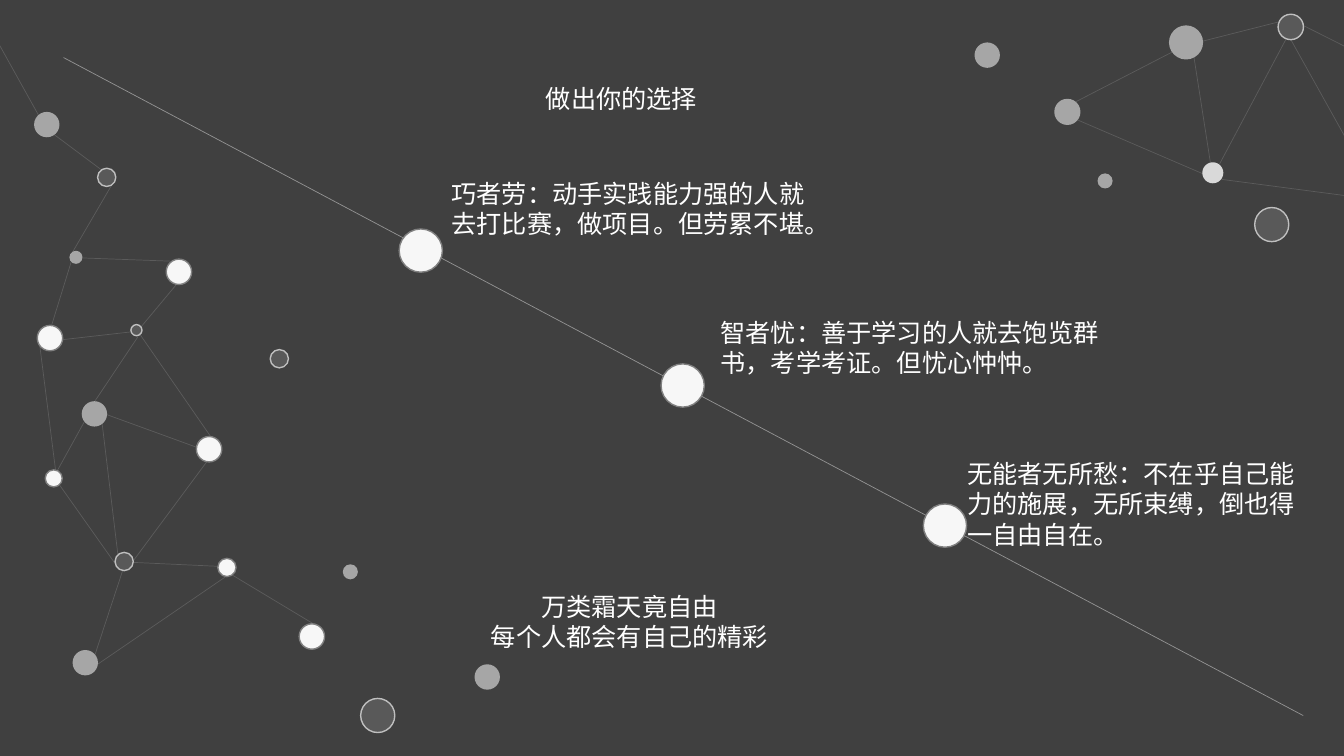
import pptx
import pptx.util
import pptx.dml.color
import pptx.enum.shapes
import pptx.enum.text
import pptx.oxml
import pptx.oxml.ns
from lxml import etree

COLORS = {"background": "404040", "text": "FFFFFF", "path": "FFFFFF", "link": "BFBFBF"}
FONT_NAME = "Arial"
MILESTONE_SIZE = 1.09

DOT_STYLES = {
    "ring": ("595959", "BFBFBF"),
    "grey": ("A6A6A6", None),
    "pale": ("D9D9D9", None),
    "white": ("F7F7F7", "808080"),
}

DOTS = {
    "ring": [
        (2.46, 4.24, 0.46), (2.9, 13.92, 0.46), (6.81, 8.81, 0.46), (3.3, 8.18, 0.28),
        (9.09, 17.6, 0.86), (32.21, 0.36, 0.64), (31.62, 5.23, 0.86),
    ],
    "grey": [
        (0.86, 2.82, 0.64), (2.06, 10.11, 0.64), (1.75, 6.32, 0.33), (1.83, 16.38, 0.64),
        (11.96, 16.74, 0.64), (8.64, 14.22, 0.38), (26.57, 2.49, 0.66),
        (29.46, 0.64, 0.86), (24.56, 1.07, 0.64), (27.66, 4.37, 0.38),
    ],
    "pale": [(30.3, 4.09, 0.53)],
    "white": [
        (0.94, 8.2, 0.64), (4.95, 11, 0.64), (4.19, 6.53, 0.64), (1.14, 11.84, 0.43),
        (5.49, 14.07, 0.46), (7.54, 15.72, 0.64),
    ],
}

PATH = (1.6, 1.45, 32.84, 18.03)

LINKS = [
    (2.08, 6.5, 4.29, 6.58), (1.35, 3.38, 2.57, 4.29), (2.84, 4.62, 1.83, 6.35),
    (1.8, 6.58, 1.3, 8.2), (1.57, 8.56, 3.33, 8.36), (2.39, 10.11, 3.48, 8.48),
    (0.99, 8.61, 1.4, 11.84), (2.13, 10.62, 1.3, 12.12), (2.57, 10.64, 2.97, 13.97),
    (5.31, 11, 3.53, 8.43), (2.95, 14.27, 1.5, 12.22), (2.39, 16.51, 3.1, 14.35),
    (2.67, 10.44, 4.98, 11.28), (3.56, 8.23, 4.47, 7.14), (5.23, 11.61, 3.33, 14.17),
    (3.33, 14.17, 5.49, 14.27), (5.87, 14.5, 7.9, 15.72), (5.69, 14.53, 2.46, 16.74),
    (-0.25, 0.71, 0.97, 2.9), (30.1, 1.09, 32.31, 0.53), (35.46, 1.96, 32.84, 0.64),
    (34.67, 5.03, 30.78, 4.52), (34.85, 5.16, 32.33, 0.64), (32.54, 0.74, 30.73, 4.14),
    (30.53, 4.27, 30.07, 1.32), (27.1, 2.57, 29.97, 1.09), (27.15, 3.02, 30.48, 4.45),
]

TITLE = ("做出你的选择", (13.51, 1.98, 4.65, 1.02))
CHOICES = [
    ("巧者劳：动手实践能力强的人就去打比赛，做项目。但劳累不堪。",
     (11.13, 4.37, 9.47, 1.8), (10.06, 5.77)),
    ("智者忧：善于学习的人就去饱览群书，考学考证。但忧心忡忡。",
     (17.91, 7.87, 10.36, 1.8), (16.66, 9.17)),
    ("无能者无所愁：不在乎自己能力的施展，无所束缚，倒也得一自由自在。",
     (24.13, 11.43, 9.02, 2.57), (23.27, 12.7)),
]
CLOSING = ("万类霜天竟自由\n每个人都会有自己的精彩", (11.51, 14.78, 8.71, 1.8))


def rgb(value):
    return pptx.dml.color.RGBColor.from_string(value)


def lengths(values):
    return [pptx.util.Cm(value) for value in values]


def add_line(slide, ends, color, opacity):
    connector = slide.shapes.add_connector(
        pptx.enum.shapes.MSO_CONNECTOR.STRAIGHT, *lengths(ends))
    connector.line.color.rgb = rgb(color)
    connector.line.width = pptx.util.Pt(0.5)
    properties = connector._element.spPr
    color_element = next(properties.iter(pptx.oxml.ns.qn("a:srgbClr")))
    alpha = etree.SubElement(color_element, pptx.oxml.ns.qn("a:alpha"))
    alpha.set("val", str(opacity * 1000))
    etree.SubElement(properties, pptx.oxml.ns.qn("a:effectLst"))


def add_dot(slide, left, top, size, style):
    fill, outline = DOT_STYLES[style]
    dot = slide.shapes.add_shape(
        pptx.enum.shapes.MSO_SHAPE.OVAL, *lengths((left, top, size, size)))
    dot.shadow.inherit = False
    dot.fill.solid()
    dot.fill.fore_color.rgb = rgb(fill)
    if outline:
        dot.line.color.rgb = rgb(outline)
        dot.line.width = pptx.util.Pt(1)
    else:
        dot.line.fill.background()


def add_text(slide, text, box, alignment=pptx.enum.text.PP_ALIGN.LEFT):
    frame = slide.shapes.add_textbox(*lengths(box)).text_frame
    frame.word_wrap = True
    frame.auto_size = pptx.enum.text.MSO_AUTO_SIZE.SHAPE_TO_FIT_TEXT
    frame.text = text
    for paragraph in frame.paragraphs:
        paragraph.alignment = alignment
        paragraph.font.name = FONT_NAME
        paragraph.font.size = pptx.util.Pt(18)
        paragraph.font.color.rgb = rgb(COLORS["text"])


def main():
    """Build the slide of three choices along a falling path."""
    presentation = pptx.Presentation()
    presentation.slide_width, presentation.slide_height = lengths((33.87, 19.05))
    slide = presentation.slides.add_slide(presentation.slide_layouts[6])
    slide.background.fill.solid()
    slide.background.fill.fore_color.rgb = rgb(COLORS["background"])

    add_line(slide, PATH, COLORS["path"], 43)
    for ends in LINKS:
        add_line(slide, ends, COLORS["link"], 21)
    for style, dots in DOTS.items():
        for left, top, size in dots:
            add_dot(slide, left, top, size, style)

    add_text(slide, *TITLE)
    for text, box, (left, top) in CHOICES:
        add_dot(slide, left, top, MILESTONE_SIZE, "white")
        add_text(slide, text, box)
    add_text(slide, *CLOSING, pptx.enum.text.PP_ALIGN.CENTER)
    presentation.save("out.pptx")


if __name__ == "__main__":
    main()
